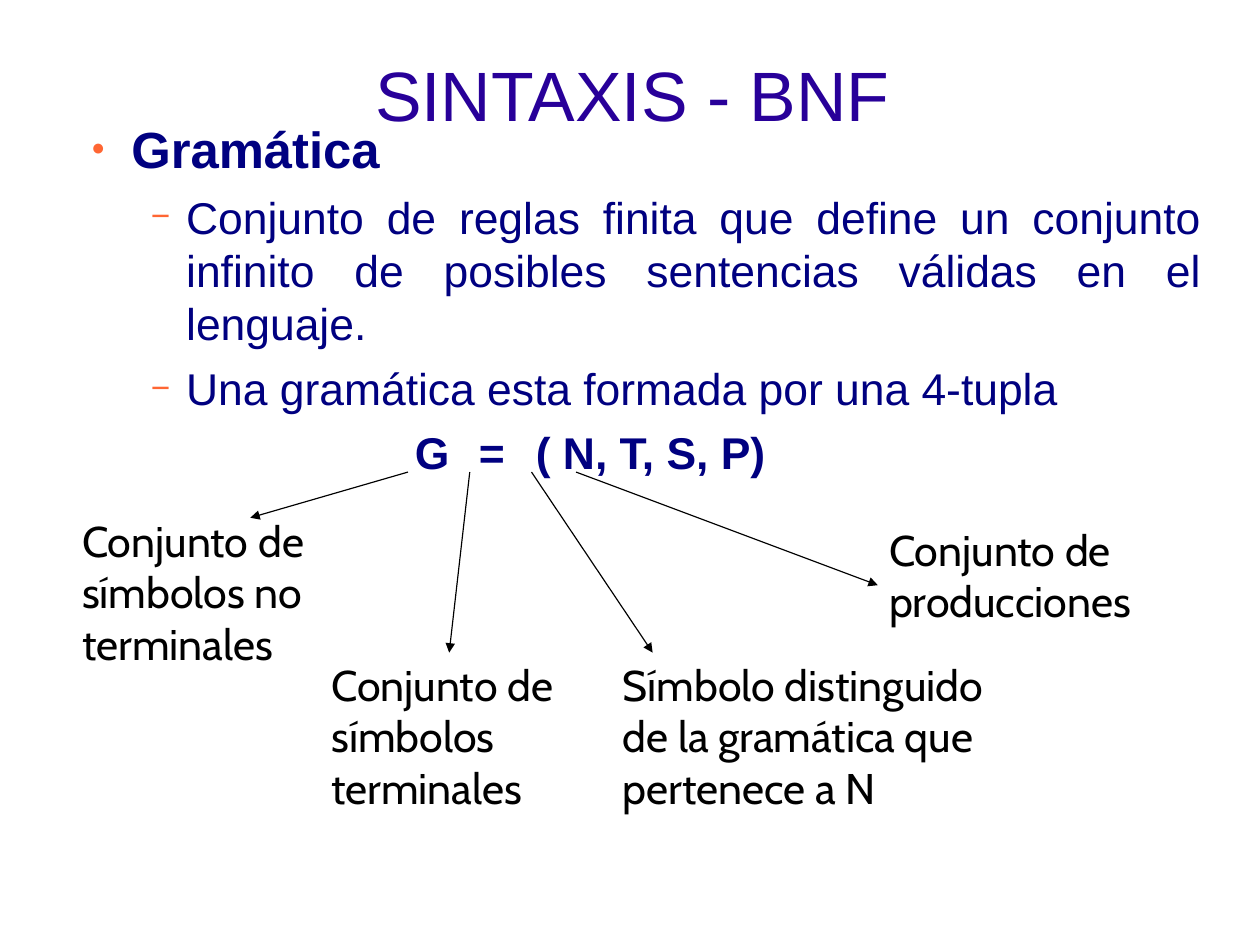
from pptx import Presentation
from pptx.util import Cm, Inches, Pt
from pptx.dml.color import RGBColor
from pptx.enum.shapes import MSO_CONNECTOR
from pptx.enum.text import MSO_ANCHOR, PP_ALIGN
from pptx.oxml.ns import qn
from lxml.etree import SubElement

COLORS = {"title": "280099", "body": "000080", "bullet": "FF6633", "ink": "000000"}
TITLE = "SINTAXIS - BNF"
HEAD = dict(size=32, bold=True, left=0.46, hang=-0.35, mark=("●", 45))
ITEM = dict(size=28, bold=False, left=0.94, hang=-0.31, mark=("−", 75))
TUPLE = dict(size=28, bold=True, left=0, hang=2.94, stops=(3.64, 4.01))
BODY = [
    ("Gramática", HEAD),
    ("Conjunto de reglas finita que define un conjunto infinito de posibles "
     "sentencias válidas en el lenguaje.", ITEM),
    ("Una gramática esta formada por una 4-tupla", ITEM),
    ("G\t=\t( N, T, S, P)", TUPLE),
]
LABELS = [
    ("Conjunto de símbolos no terminales", (0.62, 4.45, 2.39, 1.45)),
    ("Símbolo distinguido de la gramática que pertenece a N", (5.35, 5.71, 3.58, 1.9)),
    ("Conjunto de producciones", (7.68, 4.53, 2.89, 1)),
    ("Conjunto de símbolos terminales", (2.8, 5.71, 2.39, 1.45)),
]
ROW = 4.13
ARROWS = [(3.57, 2.19, 4.53), (4.11, 3.93, 5.71), (4.65, 5.71, 5.71), (5.04, 7.68, 5.12)]


def add_box(slide, place):
    frame = slide.shapes.add_textbox(*map(Inches, place)).text_frame
    frame.word_wrap = True
    return frame


def style(para, size, color, face="Arial", bold=False):
    for run in para.runs:
        font = run.font
        font.name, font.size, font.bold = face, Pt(size), bold
        font.color.rgb = RGBColor.from_string(COLORS[color])


def set_marks(para, left, hang, mark=None, stops=()):
    props = para._p.get_or_add_pPr()
    props.set("marL", str(Inches(left)))
    props.set("indent", str(Inches(hang)))
    if mark:
        char, scale = mark
        tint = SubElement(props, qn("a:buClr"))
        SubElement(tint, qn("a:srgbClr"), val=COLORS["bullet"])
        SubElement(props, qn("a:buSzPct"), val=str(scale * 1000))
        SubElement(props, qn("a:buFont"), typeface="Arial")
        SubElement(props, qn("a:buChar"), char=char)
    else:
        SubElement(props, qn("a:buNone"))
    if stops:
        tabs = SubElement(props, qn("a:tabLst"))
        for stop in stops:
            SubElement(tabs, qn("a:tab"), pos=str(Inches(stop)), algn="l")


def add_body(slide):
    frame = add_box(slide, (0.59, 0.98, 10.01, 6.98))
    for i, (text, look) in enumerate(BODY):
        para = frame.add_paragraph() if i else frame.paragraphs[0]
        para.text = text
        set_marks(para, look["left"], look["hang"], look.get("mark"), look.get("stops", ()))
        para.alignment = PP_ALIGN.LEFT if "stops" in look else PP_ALIGN.JUSTIFY
        if i:
            para.level = 1
            para.space_before = Pt(7)
        style(para, look["size"], "body", bold=look["bold"])


def add_arrow(slide, start, end, low):
    line = slide.shapes.add_connector(
        MSO_CONNECTOR.STRAIGHT, Inches(start), Inches(ROW), Inches(end), Inches(low))
    line.line.width = Pt(0.75)
    line.line.color.rgb = RGBColor.from_string(COLORS["ink"])
    SubElement(line.line._get_or_add_ln(), qn("a:tailEnd"), type="triangle")
    SubElement(line._element.spPr, qn("a:effectLst"))


def main():
    deck = Presentation()
    deck.slide_width = Cm(28)
    deck.slide_height = Cm(21)
    slide = deck.slides.add_slide(deck.slide_layouts[6])

    frame = add_box(slide, (0.84, 0.39, 9.39, 0.84))
    frame.vertical_anchor = MSO_ANCHOR.BOTTOM
    frame.text = TITLE
    frame.paragraphs[0].alignment = PP_ALIGN.CENTER
    style(frame.paragraphs[0], 44, "title")

    add_body(slide)
    for text, place in LABELS:
        frame = add_box(slide, place)
        frame.text = text
        style(frame.paragraphs[0], 27, "ink", "Cabin")
    for arrow in ARROWS:
        add_arrow(slide, *arrow)
    deck.save("out.pptx")


if __name__ == "__main__":
    main()
